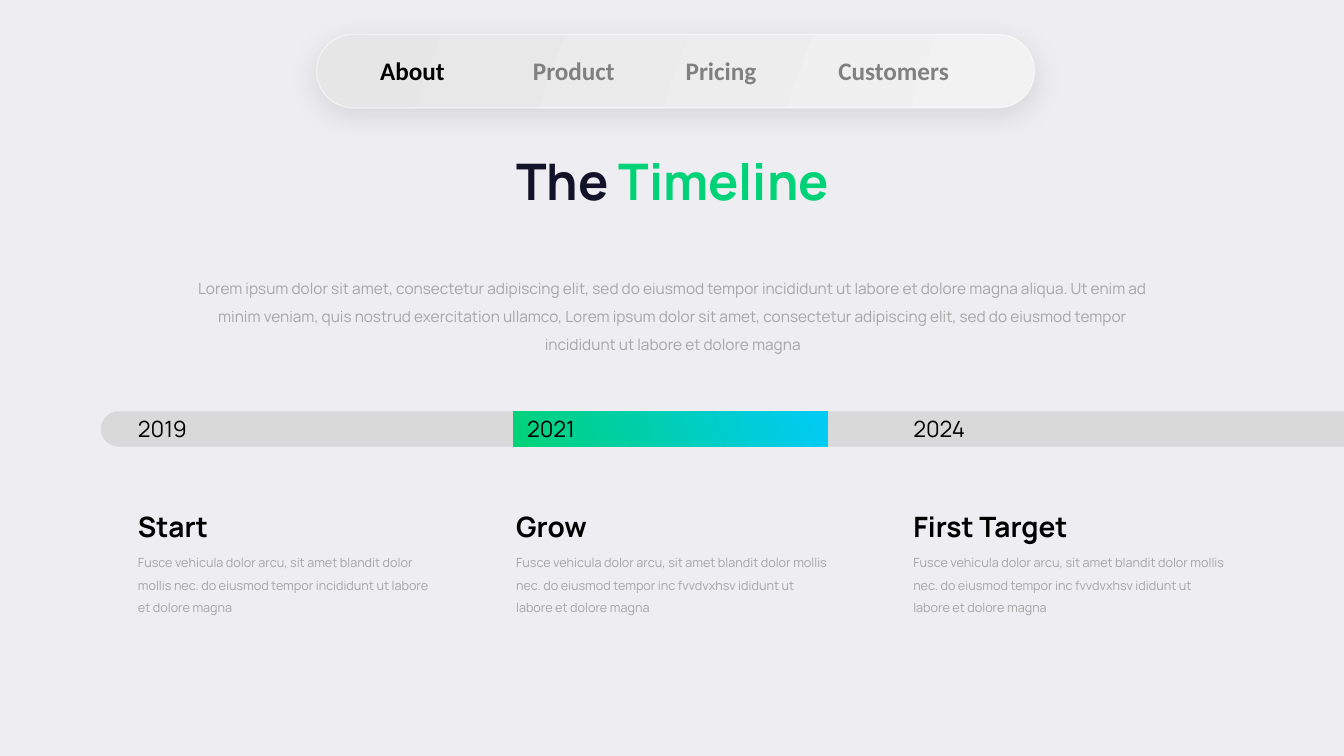
from dataclasses import dataclass

from lxml import etree
from pptx import Presentation
from pptx.dml.color import RGBColor
from pptx.enum.shapes import MSO_SHAPE
from pptx.enum.text import MSO_ANCHOR, MSO_AUTO_SIZE, PP_ALIGN
from pptx.oxml.ns import qn
from pptx.util import Inches, Pt

PILL = MSO_SHAPE.ROUNDED_RECTANGLE
RECT = MSO_SHAPE.RECTANGLE
ROUND_TOP = MSO_SHAPE.ROUND_2_SAME_RECTANGLE
TOP = MSO_ANCHOR.TOP
GROW = MSO_AUTO_SIZE.SHAPE_TO_FIT_TEXT
LEFT, CENTER = PP_ALIGN.LEFT, PP_ALIGN.CENTER

COLORS = {
    "page": "EEEDF2", "black": "000000", "white": "FFFFFF", "navy": "121228",
    "green": "00D278", "cyan": "00CBF7", "bar": "D9D9D9", "tab": "808080",
    "intro": "A6A6A6", "detail": "A5A5A5", "pill_dark": "E7E6E6", "pill_light": "F2F2F2",
}
FONTS = {
    "nav": {"name": "Calibri", "size": Pt(18), "bold": True},
    "title": {"name": "Manrope", "size": Pt(36), "bold": True},
    "intro": {"name": "Manrope", "size": Pt(11), "bold": False},
    "heading": {"name": "Manrope", "size": Pt(20), "bold": True},
    "detail": {"name": "Manrope", "size": Pt(9), "bold": False},
    "year": {"name": "Manrope", "size": Pt(16), "bold": False},
}
LONG_DETAIL = ("Fusce vehicula dolor arcu, sit amet blandit dolor mollis nec. "
               "do eiusmod tempor inc fvvdvxhsv ididunt ut labore et dolore magna")


@dataclass
class Milestone:
    year: str
    heading: str
    detail: str
    year_x: float
    x: float
    heading_w: float
    detail_w: float


MILESTONES = [
    Milestone("2019", "Start",
              "Fusce vehicula dolor arcu, sit amet blandit dolor mollis nec. "
              "do eiusmod tempor incididunt ut labore et dolore magna",
              1.27, 1.27, 2.86, 3.1),
    Milestone("2021", "Grow", LONG_DETAIL, 5.13, 5.02, 2.92, 3.29),
    Milestone("2024", "First Target", LONG_DETAIL, 8.96, 8.96, 2.92, 3.29),
]
INTRO = ("Lorem ipsum dolor sit amet, consectetur adipiscing elit, sed do eiusmod tempor "
         "incididunt ut labore et dolore magna aliqua. Ut enim ad minim veniam, quis nostrud "
         "exercitation ullamco, Lorem ipsum dolor sit amet, consectetur adipiscing elit, "
         "sed do eiusmod tempor incididunt ut labore et dolore magna")


def rgb(color: str) -> RGBColor:
    return RGBColor.from_string(COLORS[color])


def add_run(p, text: str, font: str, color: str) -> None:
    r = p.add_run()
    r.text = text
    for key, value in FONTS[font].items():
        setattr(r.font, key, value)
    r.font.color.rgb = rgb(color)


def fit_frame(tf) -> None:
    for key, value in {"word_wrap": True, "auto_size": GROW, "vertical_anchor": TOP}.items():
        setattr(tf, key, value)


def add_text(s, x: float, y: float, w: float, h: float, text: str, font: str,
             color: str = "black", align=LEFT, spacing: float = 1.0) -> None:
    tf = s.shapes.add_textbox(Inches(x), Inches(y), Inches(w), Inches(h)).text_frame
    fit_frame(tf)
    p = tf.paragraphs[0]
    p.alignment = align
    p.line_spacing = spacing
    add_run(p, text, font, color)


def add_block(s, kind, x: float, y: float, w: float, h: float, colors: list[str], angle: int = 0):
    sp = s.shapes.add_shape(kind, Inches(x), Inches(y), Inches(w), Inches(h))
    sp.shadow.inherit = False
    sp.line.fill.background()
    if len(colors) == 1:
        sp.fill.solid()
        sp.fill.fore_color.rgb = rgb(colors[0])
    else:
        sp.fill.gradient()
        sp.fill.gradient_angle = 360 - angle
        for stop, color in zip(sp.fill.gradient_stops, colors):
            stop.color.rgb = rgb(color)
    return sp


def add_alpha(clr, percent: int) -> None:
    etree.SubElement(clr, qn("a:alpha"), val=str(percent * 1000))


def add_nav(s) -> None:
    pill = add_block(s, PILL, 3.14, 0.34, 7.12, 0.73, ["pill_dark", "pill_light"], 20)
    pill.adjustments[0] = 0.5
    pill.line.color.rgb = rgb("white")
    pill.line.width = Pt(1)
    sp_pr = pill.element.spPr
    add_alpha(sp_pr.find(f"{qn('a:ln')}/{qn('a:solidFill')}/{qn('a:srgbClr')}"), 50)
    shadow = etree.SubElement(sp_pr.find(qn("a:effectLst")), qn("a:outerShdw"),
                              blurRad=str(Pt(20)), dist=str(Pt(5)), dir="5400000",
                              algn="t", rotWithShape="0")
    add_alpha(etree.SubElement(shadow, qn("a:srgbClr"), val=COLORS["black"]), 10)

    tabs = ["About", "Product", "Pricing", "Customers"]
    table = s.shapes.add_table(1, len(tabs), Inches(3.67), Inches(0.51),
                               Inches(6.06), Inches(0.41)).table
    table.first_row = table.horz_banding = False
    for i, tab in enumerate(tabs):
        cell = table.cell(0, i)
        tc_pr = cell._tc.get_or_add_tcPr()
        for side in "LRTB":
            etree.SubElement(etree.SubElement(tc_pr, qn(f"a:ln{side}"), w="0"), qn("a:noFill"))
        cell.fill.background()
        add_run(cell.text_frame.paragraphs[0], tab, "nav", "tab" if i else "black")


def add_title(s) -> None:
    title = s.shapes.title
    box = {"left": 3.75, "top": 1.44, "width": 5.84, "height": 0.71}
    for key, value in box.items():
        setattr(title, key, Inches(value))
    fit_frame(title.text_frame)
    p = title.text_frame.paragraphs[0]
    p.alignment = CENTER
    add_run(p, "The ", "title", "navy")
    add_run(p, "Timeline", "title", "green")


def add_timeline(s) -> None:
    bar = add_block(s, ROUND_TOP, 6.99, -1.91, 0.35, 12.33, ["bar"])
    bar.rotation = 270
    bar.adjustments[0] = 0.5
    bar.adjustments[1] = 0
    add_block(s, RECT, 5.09, 4.08, 3.12, 0.35, ["cyan", "green"], 160)
    for m in MILESTONES:
        add_text(s, m.year_x, 4.07, 2.31, 0.37, m.year, "year")
        add_text(s, m.x, 5.01, m.heading_w, 0.44, m.heading, "heading")
        add_text(s, m.x, 5.38, m.detail_w, 0.99, m.detail, "detail", "detail", spacing=1.5)


def main() -> None:
    prs = Presentation()
    prs.slide_width, prs.slide_height = Inches(13.33), Inches(7.5)
    s = prs.slides.add_slide(prs.slide_layouts[5])
    s.background.fill.solid()
    s.background.fill.fore_color.rgb = rgb("page")
    add_nav(s)
    add_title(s)
    add_text(s, 1.84, 2.63, 9.67, 0.91, INTRO, "intro", "intro", CENTER, 1.5)
    add_timeline(s)
    prs.save("out.pptx")


if __name__ == "__main__":
    main()
